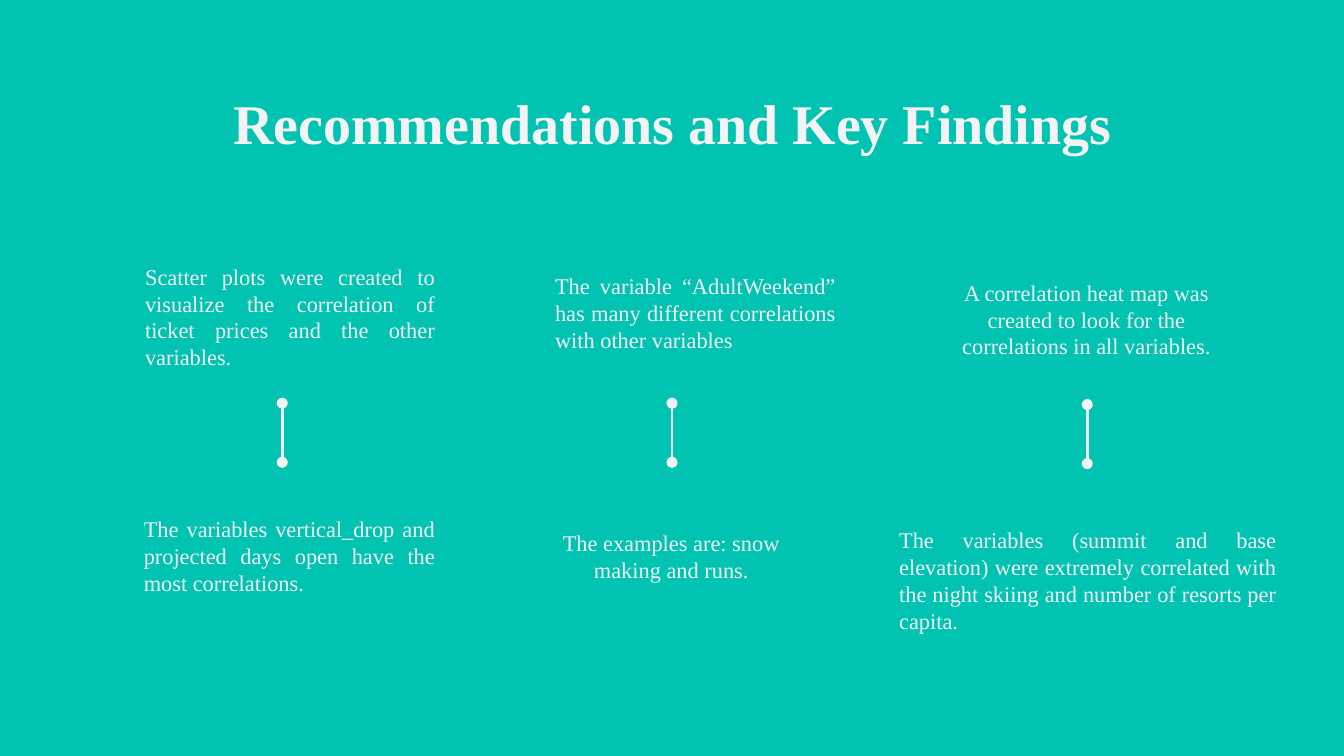
from lxml import etree
from pptx import Presentation
from pptx.dml.color import RGBColor
from pptx.enum.shapes import MSO_CONNECTOR as Connector
from pptx.enum.text import MSO_ANCHOR as Anchor, PP_ALIGN as Align
from pptx.oxml.ns import qn
from pptx.util import Inches, Pt

BACKGROUND = "00C3B1"
FOREGROUND = "F3F3F3"
FONT = "Times New Roman"
EVEN = (0.1, 0.1, 0.1, 0.1)
INDENTED = (0.5, 0.08, 0, 0)
FLUSH = (0, 0, 0, 0)

TITLE = ("Recommendations and Key Findings", (0.79, 0.56, 8.43, 0.63))
FINDINGS = [
    ("Scatter plots were created to visualize the correlation of ticket prices "
     "and the other variables.",
     (0.58, 1.87, 2.66, 0.89), INDENTED, Align.JUSTIFY),
    ("The variable “AdultWeekend” has many different correlations with other "
     "variables",
     (3.63, 1.94, 2.59, 0.69), INDENTED, Align.JUSTIFY),
    ("A correlation heat map was created to look for the correlations in all "
     "variables.",
     (6.96, 1.94, 2.25, 0.87), EVEN, Align.CENTER),
    ("The variables vertical_drop and projected days open have the most "
     "correlations.",
     (1.07, 3.76, 2.17, 0.75), FLUSH, Align.JUSTIFY),
    ("The examples are: snow making and runs.",
     (3.87, 3.65, 2.25, 0.97), EVEN, Align.CENTER),
    ("The variables (summit and base elevation) were extremely correlated with "
     "the night skiing and number of resorts per capita.",
     (6.69, 4, 2.81, 0.63), FLUSH, Align.JUSTIFY),
]
LINKS = [(2.1, 3), (5, 3), (8.09, 3.01)]
LINK_HEIGHT = 0.44


def color(hex_value):
    return RGBColor.from_string(hex_value)


def add_text(slide, text, place, insets, align, anchor, size, bold=False):
    frame = slide.shapes.add_textbox(*map(Inches, place)).text_frame
    frame.word_wrap = True
    frame.vertical_anchor = anchor
    (frame.margin_left, frame.margin_top,
     frame.margin_right, frame.margin_bottom) = map(Inches, insets)
    paragraph = frame.paragraphs[0]
    paragraph.text = text
    paragraph.alignment = align
    paragraph.font.name = FONT
    paragraph.font.size = Pt(size)
    paragraph.font.bold = bold
    paragraph.font.color.rgb = color(FOREGROUND)


def add_link(slide, x, top):
    link = slide.shapes.add_connector(
        Connector.STRAIGHT, *map(Inches, (x, top, x, top + LINK_HEIGHT)))
    link.line.color.rgb = color(FOREGROUND)
    link.line.width = Pt(1.5)
    properties = link._element.spPr.find(qn("a:ln"))
    for end in ("a:headEnd", "a:tailEnd"):
        etree.SubElement(properties, qn(end), type="oval")
    etree.SubElement(link._element.spPr, qn("a:effectLst"))


def main():
    deck = Presentation()
    deck.slide_width = Inches(10)
    deck.slide_height = deck.slide_width * 9 // 16
    slide = deck.slides.add_slide(deck.slide_layouts[6])
    slide.background.fill.solid()
    slide.background.fill.fore_color.rgb = color(BACKGROUND)

    title, title_place = TITLE
    add_text(slide, title, title_place, EVEN, Align.CENTER, Anchor.TOP, 30, True)
    for text, place, insets, align in FINDINGS:
        add_text(slide, text, place, insets, align, Anchor.MIDDLE, 12)
    for x, top in LINKS:
        add_link(slide, x, top)
    deck.save("out.pptx")


if __name__ == "__main__":
    main()
